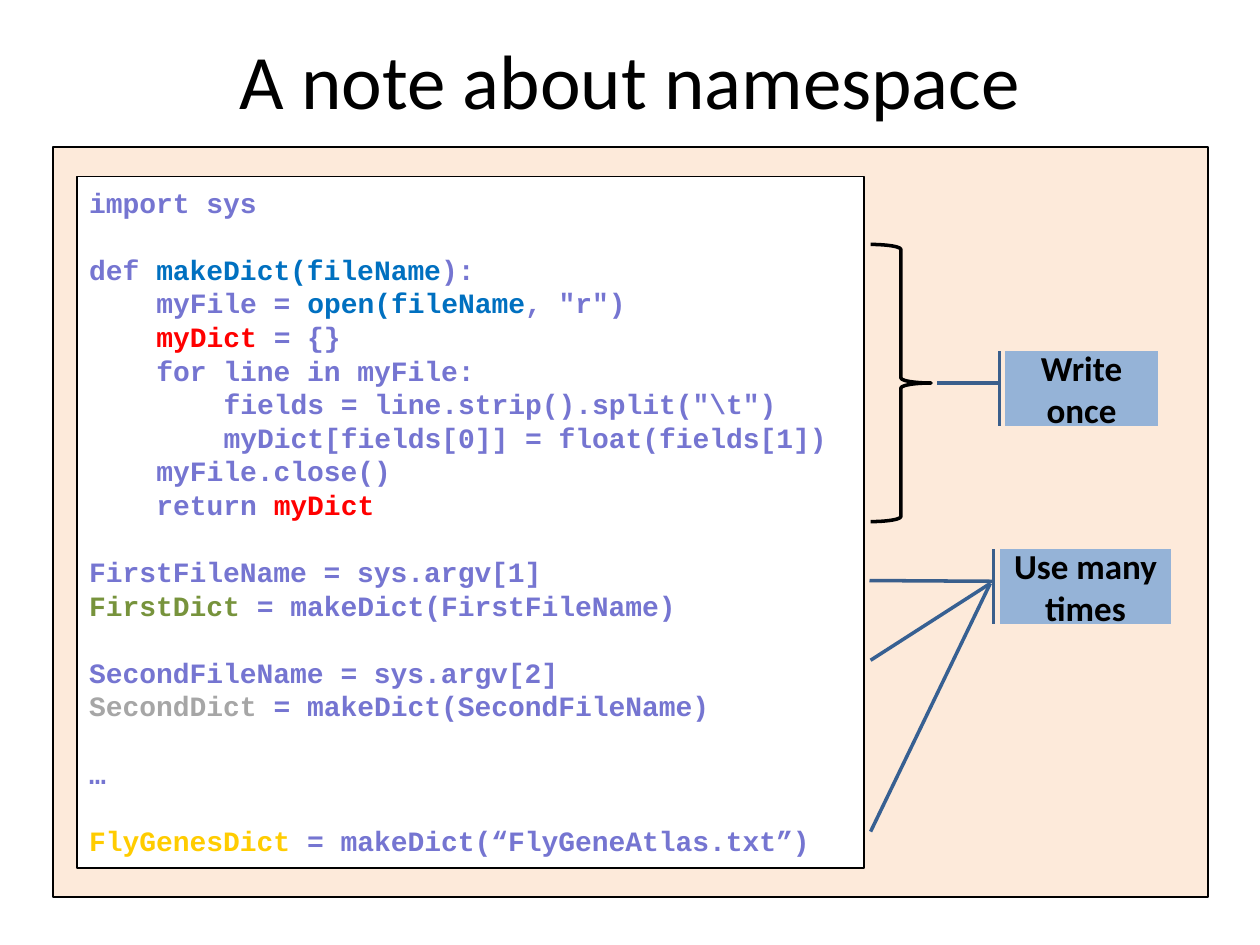
from lxml.etree import SubElement
from pptx import Presentation
from pptx.dml.color import RGBColor
from pptx.enum.shapes import MSO_CONNECTOR, MSO_SHAPE
from pptx.enum.text import MSO_ANCHOR, PP_ALIGN
from pptx.oxml.ns import qn
from pptx.util import Pt

BLACK = RGBColor(0x00, 0x00, 0x00)
WHITE = RGBColor(0xFF, 0xFF, 0xFF)
PEACH = RGBColor(0xFD, 0xEA, 0xDA)
LILAC = RGBColor(0x75, 0x75, 0xD1)
BLUE = RGBColor(0x00, 0x70, 0xC0)
RED = RGBColor(0xFF, 0x00, 0x00)
GREEN = RGBColor(0x77, 0x93, 0x3C)
GREY = RGBColor(0xA6, 0xA6, 0xA6)
GOLD = RGBColor(0xFF, 0xCC, 0x00)
LABEL = RGBColor(0x95, 0xB3, 0xD7)
LABEL_LINE = RGBColor(0x3A, 0x5F, 0x8C)
LEADER = RGBColor(0x37, 0x60, 0x92)

LINE_HEIGHT = 19.2
INDENT = 38.4
CODE_FONT = {"name": "Courier New", "size": Pt(16), "bold": True}
LABEL_FONT = {"name": "Calibri", "size": Pt(20), "bold": True}
TITLE_FONT = {"name": "Calibri", "size": Pt(44), "bold": False}

# fmt: off
CODE = [
    [(0, [("import sys", LILAC)])],
    [(0, [("def ", LILAC), ("makeDict(fileName", BLUE), ("):", LILAC)]),
     (1, [("myFile = ", LILAC), ("open(fileName", BLUE), (', "r")', LILAC)]),
     (1, [("myDict ", RED), ("= {}", LILAC)]),
     (1, [("for line in myFile:", LILAC)]),
     (2, [('fields = line.strip().split("\\t")', LILAC)]),
     (2, [("myDict[fields[0]] = float(fields[1])", LILAC)]),
     (1, [("myFile.close()", LILAC)]),
     (1, [("return ", LILAC), ("myDict", RED)])],
    [(0, [("FirstFileName = sys.argv[1]", LILAC)]),
     (0, [("FirstDict ", GREEN), ("= makeDict(FirstFileName)", LILAC)])],
    [(0, [("SecondFileName = sys.argv[2]", LILAC)]),
     (0, [("SecondDict ", GREY), ("= makeDict(SecondFileName)", LILAC)])],
    [(0, [("…", LILAC)])],
    [(0, [("FlyGenesDict ", GOLD), ("= makeDict(“FlyGeneAtlas.txt”)", LILAC)])],
]
# fmt: on


def add_run(p, text, font, color):
    r = p.add_run()
    r.text = text
    for name, value in font.items():
        setattr(r.font, name, value)
    r.font.color.rgb = color


def add_shape(slide, kind, box, fill, line, width):
    sp = slide.shapes.add_shape(kind, *map(Pt, box))
    sp.shadow.inherit = False
    if fill is None:
        sp.fill.background()
    else:
        sp.fill.solid()
        sp.fill.fore_color.rgb = fill
    sp.line.color.rgb = line
    sp.line.width = Pt(width)
    return sp


def add_title(slide, box, text):
    sp = slide.shapes.title
    for name, value in zip(("left", "top", "width", "height"), box):
        setattr(sp, name, Pt(value))
    tf = sp.text_frame
    tf.vertical_anchor = MSO_ANCHOR.MIDDLE
    p = tf.paragraphs[0]
    p.alignment = PP_ALIGN.CENTER
    add_run(p, text, TITLE_FONT, BLACK)


def add_code(slide, box):
    sp = add_shape(slide, MSO_SHAPE.RECTANGLE, box, WHITE, BLACK, 1)
    tf = sp.text_frame
    tf.word_wrap = True
    tf.vertical_anchor = MSO_ANCHOR.TOP
    tf.margin_top = Pt(5)
    p = tf.paragraphs[0]
    for b, block in enumerate(CODE):
        for n, (level, parts) in enumerate(block):
            if b or n:
                p = tf.add_paragraph()
            p.alignment = PP_ALIGN.LEFT
            p.line_spacing = Pt(LINE_HEIGHT)
            p.space_before = Pt(LINE_HEIGHT if b and n == 0 else 0)
            p._p.get_or_add_pPr().set("marL", str(Pt(INDENT * level)))
            for text, color in parts:
                add_run(p, text, CODE_FONT, color)


def add_label(slide, box, text, adjustments):
    kind = MSO_SHAPE.LINE_CALLOUT_1_ACCENT_BAR
    sp = add_shape(slide, kind, box, LABEL, LABEL_LINE, 2)
    for i, value in enumerate(adjustments):
        sp.adjustments[i] = value
    tf = sp.text_frame
    tf.word_wrap = True
    tf.vertical_anchor = MSO_ANCHOR.MIDDLE
    p = tf.paragraphs[0]
    p.alignment = PP_ALIGN.CENTER
    add_run(p, text, LABEL_FONT, BLACK)


def add_leader(slide, start, end):
    sp = slide.shapes.add_connector(MSO_CONNECTOR.STRAIGHT, *map(Pt, start + end))
    sp.line.color.rgb = LEADER
    sp.line.width = Pt(2)
    SubElement(sp._element.spPr, qn("a:effectLst"))


def add_notes_column(slide, box):
    x, y, w, h = box
    add_label(slide, (x + 77, y + 61, 87.1, 42.5), "Write once",
              (0.43, -0.04, 0.43, -0.45))
    add_shape(slide, MSO_SHAPE.RIGHT_BRACE, (x, y, 34.6, 158.4), None, BLACK, 2)
    add_label(slide, (x + 74.2, y + 174.2, 97.2, 42.5), "Use many times",
              (0.43, -0.04, 0.42, -0.77))
    for start_y in (y + 237.6, y + h):
        add_leader(slide, (x, start_y), (x + 68.4, y + 193.7))


def main():
    prs = Presentation()
    prs.slide_width, prs.slide_height = Pt(720), Pt(540)
    slide = prs.slides.add_slide(prs.slide_layouts[5])
    add_title(slide, (0, 0, 720, 90), "A note about namespace")
    panel = (30.2, 84.2, 660.2, 428.4)
    add_shape(slide, MSO_SHAPE.RECTANGLE, panel, PEACH, BLACK, 1)
    add_code(slide, (43.9, 100.8, 450, 395.3))
    add_notes_column(slide, (497.5, 139.7, 171.4, 335.5))
    prs.save("out.pptx")


if __name__ == "__main__":
    main()
